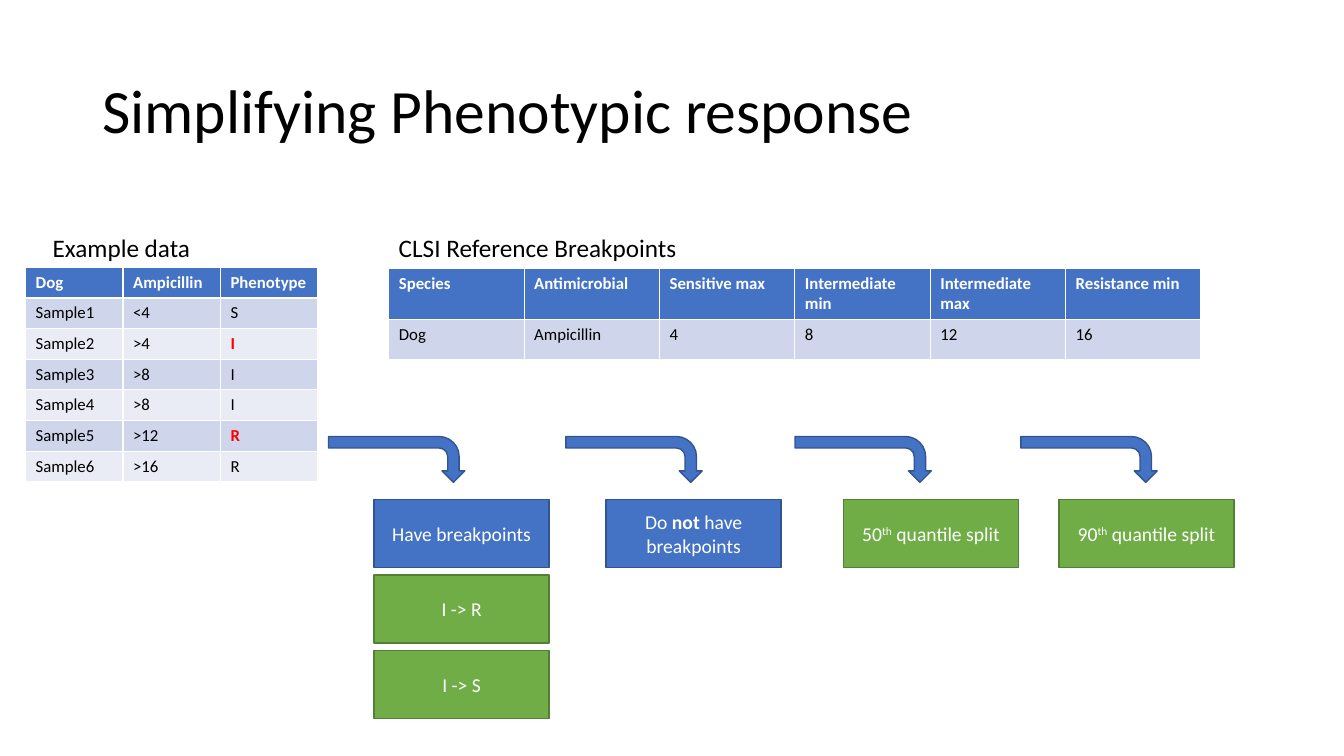
from pptx import Presentation
from pptx.dml.color import RGBColor
from pptx.enum.shapes import MSO_SHAPE
from pptx.enum.text import MSO_ANCHOR, MSO_AUTO_SIZE, PP_ALIGN
from pptx.util import Pt

RECTANGLE, BENT_ARROW = MSO_SHAPE.RECTANGLE, MSO_SHAPE.BENT_ARROW
MIDDLE = MSO_ANCHOR.MIDDLE
LEFT, CENTER = PP_ALIGN.LEFT, PP_ALIGN.CENTER
NO_FIT, GROW = MSO_AUTO_SIZE.NONE, MSO_AUTO_SIZE.SHAPE_TO_FIT_TEXT

BLUE, BLUE_LINE = "4472C4", "325491"
GREEN, GREEN_LINE = "70AD47", "538035"
BANDS = ["E9EBF5", "CFD5EA"]
BLACK, WHITE, RED = "000000", "FFFFFF", "FF0000"


def color(value):
    return RGBColor.from_string(value)


def set_font(font, size, value, bold=False):
    font.name, font.size, font.bold = "Calibri", Pt(size), bold
    font.color.rgb = color(value)


deck = Presentation()
deck.slide_width, deck.slide_height = Pt(960), Pt(540)
page = deck.slides.add_slide(deck.slide_layouts[5])

# Title
title = page.shapes.title
title.left, title.top, title.width, title.height = Pt(66), Pt(28.75), Pt(828), Pt(104.4)
title.text_frame.text = "Simplifying Phenotypic response"
title.text_frame.vertical_anchor = MIDDLE
title.text_frame.auto_size = NO_FIT
para = title.text_frame.paragraphs[0]
para.alignment, para.line_spacing = LEFT, 0.9
set_font(para.font, 44, BLACK)

# Tables: left, top, column width, row heights, rows
sample_rows = [
    ["Dog", "Ampicillin", "Phenotype"],
    ["Sample1", "<4", "S"],
    ["Sample2", ">4", "I"],
    ["Sample3", ">8", "I"],
    ["Sample4", ">8", "I"],
    ["Sample5", ">12", "R"],
    ["Sample6", ">16", "R"],
]
breakpoint_rows = [
    ["Species", "Antimicrobial", "Sensitive max", "Intermediate min",
     "Intermediate max", "Resistance min"],
    ["Dog", "Ampicillin", "4", "8", "12", "16"],
]
changed_cells = [("Sample2", "I"), ("Sample5", "R")]
tables = [
    (18.3, 190.9, 69.6, [21.9] * 7, sample_rows),
    (277.7, 191.5, 96.7, [36.5, 29.2], breakpoint_rows),
]
for left, top, column_width, heights, rows in tables:
    columns = len(rows[0])
    table = page.shapes.add_table(
        len(rows), columns, Pt(left), Pt(top),
        Pt(column_width * columns), Pt(sum(heights))).table
    for column in table.columns:
        column.width = Pt(column_width)
    for r, values in enumerate(rows):
        table.rows[r].height = Pt(heights[r])
        for c, value in enumerate(values):
            cell = table.cell(r, c)
            cell.text = value
            cell.fill.solid()
            cell.fill.fore_color.rgb = color(BANDS[r % 2] if r else BLUE)
            changed = (values[0], value) in changed_cells
            text_color = RED if changed else BLACK if r else WHITE
            set_font(cell.text_frame.paragraphs[0].font, 12, text_color, changed or r == 0)

# Table captions
for left, width, caption in [(30.5, 113.8, "Example data"),
                             (277.7, 215.3, "CLSI Reference Breakpoints")]:
    box = page.shapes.add_textbox(Pt(left), Pt(162.3), Pt(width), Pt(29.1))
    box.text_frame.word_wrap = False
    box.text_frame.auto_size = GROW
    box.text_frame.text = caption
    set_font(box.text_frame.paragraphs[0].font, 18, BLACK)

# Bent arrows, turned to point down
for left in [267, 436.5, 600.2, 761.5]:
    arrow = page.shapes.add_shape(BENT_ARROW, Pt(left), Pt(279.5), Pt(32.7), Pt(97.4))
    arrow.rotation = 90
    arrow.shadow.inherit = False
    arrow.fill.solid()
    arrow.fill.fore_color.rgb = color(BLUE)
    arrow.line.color.rgb = color(BLUE_LINE)
    arrow.line.width = Pt(1)

# Step boxes: left, row, fill, line, spans of (text, style)
steps = [
    (267.3, 0, BLUE, BLUE_LINE, [("Have breakpoints", "")]),
    (433, 0, BLUE, BLUE_LINE, [("Do ", ""), ("not", "bold"), (" have breakpoints", "")]),
    (602.6, 0, GREEN, GREEN_LINE, [("50", ""), ("th", "raised"), (" quantile split", "")]),
    (756.5, 0, GREEN, GREEN_LINE, [("90", ""), ("th", "raised"), (" quantile split", "")]),
    (267.3, 1, GREEN, GREEN_LINE, [("I -> R", "")]),
    (267.3, 2, GREEN, GREEN_LINE, [("I -> S", "")]),
]
for left, row, fill, line, spans in steps:
    box = page.shapes.add_shape(
        RECTANGLE, Pt(left), Pt(356.9 + 53.9 * row), Pt(125), Pt(48.5))
    box.shadow.inherit = False
    box.fill.solid()
    box.fill.fore_color.rgb = color(fill)
    box.line.color.rgb = color(line)
    box.line.width = Pt(1)
    box.text_frame.word_wrap = True
    box.text_frame.vertical_anchor = MIDDLE
    para = box.text_frame.paragraphs[0]
    para.alignment = CENTER
    set_font(para.font, 14, WHITE)
    for text, style in spans:
        span = para.add_run()
        span.text = text
        if style == "bold":
            span.font.bold = True
        elif style == "raised":
            span._r.get_or_add_rPr().set("baseline", "30000")

deck.save("out.pptx")
